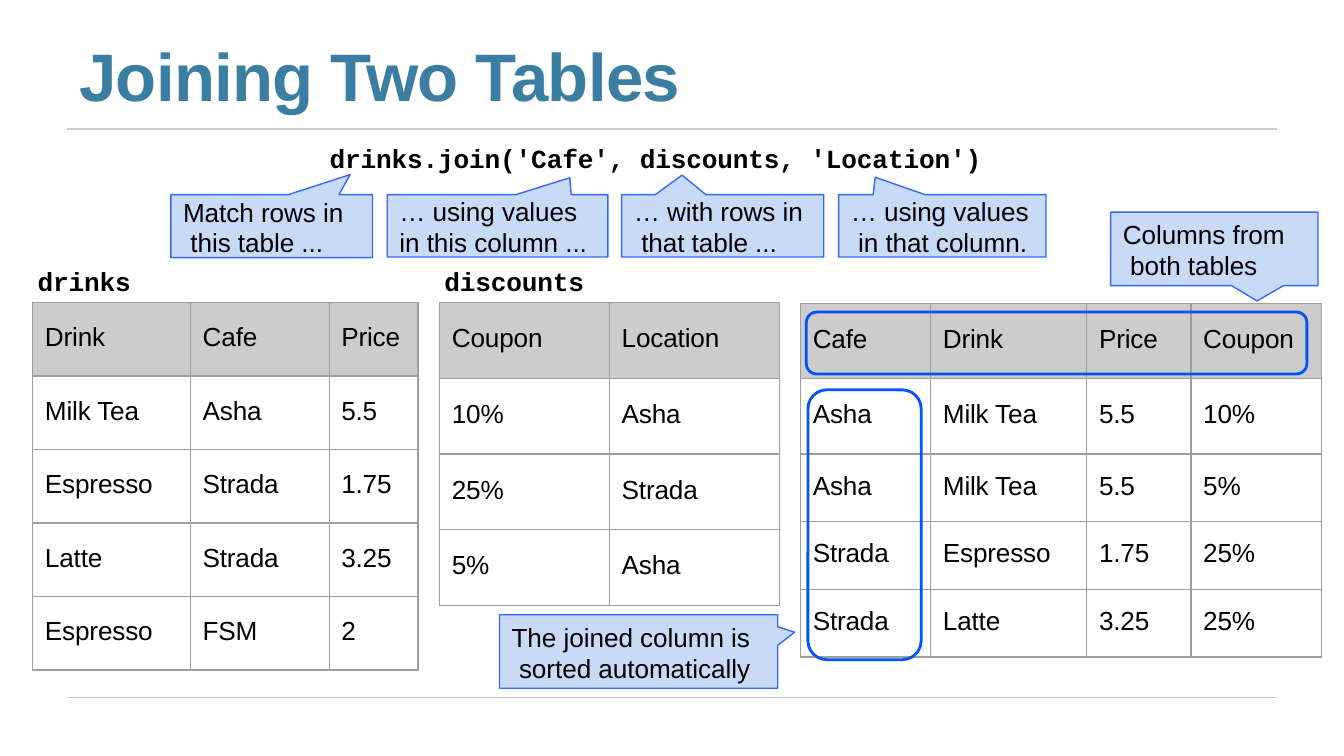
from dataclasses import dataclass

import lxml.etree
import pptx
import pptx.dml.color
import pptx.enum.shapes
import pptx.enum.text
import pptx.oxml.ns
import pptx.util

Cm = pptx.util.Cm
Pt = pptx.util.Pt
qn = pptx.oxml.ns.qn
Preset = pptx.enum.shapes.MSO_SHAPE
Anchor = pptx.enum.text.MSO_ANCHOR

COLOURS = {
    "title": "3B7EA1", "text": "000000", "rule": "CCCCCC", "header": "CCCCCC",
    "border": "9E9E9E", "callout": "C9DAF7", "callout_line": "3368FC", "ring": "0055FA",
}
NO_TABLE_STYLE = "{2D5ABB26-0587-4C30-8999-92F81FD0307C}"


# All lengths in the records are centimetres.
@dataclass
class Label:
    text: str
    left: float
    top: float
    width: float
    height: float
    font: str = "Courier New"
    size: int = 14
    colour: str = "text"
    spacing: int = -10


@dataclass
class DataTable:
    left: float
    top: float
    columns: list[float]
    heights: list[float]
    rows: list[list[str]]


@dataclass
class Callout:
    text: str
    left: float
    top: float
    width: float
    height: float
    tip: tuple[float, float]
    hang: float = 0.14


@dataclass
class Ring:
    left: float
    top: float
    width: float
    height: float


LABELS = [
    Label("Joining Two Tables", 1.5, 0.62, 12.5, 1.56, "Arial", 36, "title", -40),
    Label("drinks.join('Cafe', discounts, 'Location')", 6.23, 2.67, 13, 0.6),
    Label("drinks", 0.71, 4.98, 2.2, 0.6),
    Label("discounts", 8.4, 4.98, 3.2, 0.6),
]

TABLES = [
    DataTable(0.62, 5.72, [2.98, 2.62, 1.68], [1.39] * 5, [
        ["Drink", "Cafe", "Price"],
        ["Milk Tea", "Asha", "5.5"],
        ["Espresso", "Strada", "1.75"],
        ["Latte", "Strada", "3.25"],
        ["Espresso", "FSM", "2"],
    ]),
    DataTable(8.31, 5.72, [3.21] * 2, [1.43] * 4, [
        ["Coupon", "Location"],
        ["10%", "Asha"],
        ["25%", "Strada"],
        ["5%", "Asha"],
    ]),
    DataTable(15.13, 5.74, [2.46, 2.95, 1.97, 2.46], [1.42] * 2 + [1.28] * 3, [
        ["Cafe", "Drink", "Price", "Coupon"],
        ["Asha", "Milk Tea", "5.5", "10%"],
        ["Asha", "Milk Tea", "5.5", "5%"],
        ["Strada", "Espresso", "1.75", "25%"],
        ["Strada", "Latte", "3.25", "25%"],
    ]),
]

CALLOUTS = [
    Callout("Match rows in\vthis table ...", 3.23, 3.68, 3.81, 1.19, (6.62, 3.3)),
    Callout("… using values\vin this column ...", 7.32, 3.68, 4.17, 1.18, (10.77, 3.36), 0),
    Callout("… with rows in\vthat table ...", 11.75, 3.68, 3.82, 1.18, (12.89, 3.31)),
    Callout("… using values\vin that column.", 15.85, 3.68, 3.92, 1.18, (16.54, 3.35)),
    Callout("The joined column is\vsorted automatically", 9.44, 11.62, 5.26, 1.39, (15.02, 11.95)),
    Callout("Columns from\vboth tables", 20.99, 4.01, 3.92, 1.39, (23.76, 5.69)),
]

RINGS = [Ring(15.24, 5.9, 9.46, 1.17), Ring(15.27, 7.37, 2.14, 5.1)]


def rgb(name: str):
    return pptx.dml.color.RGBColor.from_string(COLOURS[name])


def style_runs(paragraph, font: str = "Arial", size: int = 14, colour: str = "text",
               bold: bool = False, spacing: int = -10) -> None:
    for run in paragraph.runs:
        run.font.name = font
        run.font.size = Pt(size)
        run.font.bold = bold
        run.font.color.rgb = rgb(colour)
        run.font._element.set("spc", str(spacing))


def set_insets(frame, left: float, top: float) -> None:
    frame.margin_left, frame.margin_top = Cm(left), Cm(top)
    frame.margin_right = frame.margin_bottom = 0


def draw_rule(slide, y: float) -> None:
    rule = slide.shapes.add_connector(
        pptx.enum.shapes.MSO_CONNECTOR.STRAIGHT, Cm(1.27), Cm(y), Cm(24.13), Cm(y))
    rule.line.color.rgb = rgb("rule")
    rule.line.width = Pt(0.75)
    lxml.etree.SubElement(rule._element.spPr, qn("a:effectLst"))


def draw_label(slide, label: Label) -> None:
    box = slide.shapes.add_textbox(
        Cm(label.left), Cm(label.top), Cm(label.width), Cm(label.height))
    frame = box.text_frame
    frame.word_wrap = True
    set_insets(frame, 0, 0.03)
    frame.text = label.text
    style_runs(frame.paragraphs[0], label.font, label.size, label.colour, True, label.spacing)


def add_borders(cell) -> None:
    properties = cell._tc.get_or_add_tcPr()
    for side in ("lnL", "lnR", "lnT", "lnB"):
        line = lxml.etree.SubElement(properties, qn(f"a:{side}"), w=str(Pt(0.75)))
        fill = lxml.etree.SubElement(line, qn("a:solidFill"))
        lxml.etree.SubElement(fill, qn("a:srgbClr"), val=COLOURS["border"])


def draw_table(slide, data: DataTable) -> None:
    table = slide.shapes.add_table(
        len(data.rows), len(data.columns), Cm(data.left), Cm(data.top),
        Cm(sum(data.columns)), Cm(sum(data.heights))).table
    table.first_row = table.horz_banding = False
    table._tbl.tblPr.find(qn("a:tableStyleId")).text = NO_TABLE_STYLE
    for column, width in zip(table.columns, data.columns):
        column.width = Cm(width)
    for i, (row, height) in enumerate(zip(table.rows, data.heights)):
        row.height = Cm(height)
        for cell, value in zip(row.cells, data.rows[i]):
            add_borders(cell)
            if i == 0:
                cell.fill.solid()
                cell.fill.fore_color.rgb = rgb("header")
            else:
                cell.fill.background()
            # The text line sits just above the middle of its row
            set_insets(cell, 0.23, height / 2 - 0.31)
            cell.text_frame.text = value
            style_runs(cell.text_frame.paragraphs[0])


def draw_callout(slide, callout: Callout) -> None:
    shape = slide.shapes.add_shape(
        Preset.RECTANGULAR_CALLOUT, Cm(callout.left), Cm(callout.top),
        Cm(callout.width), Cm(callout.height))
    # The tip is measured from the centre, as a share of the size
    shape.adjustments[0] = (callout.tip[0] - callout.left) / callout.width - 0.5
    shape.adjustments[1] = (callout.tip[1] - callout.top) / callout.height - 0.5
    shape.shadow.inherit = False
    shape.fill.solid()
    shape.fill.fore_color.rgb = rgb("callout")
    shape.line.color.rgb = rgb("callout_line")
    shape.line.width = Pt(0.75)
    frame = shape.text_frame
    frame.word_wrap = True
    frame.vertical_anchor = Anchor.MIDDLE
    set_insets(frame, 0.23, 0.05)
    frame.text = callout.text
    wording = frame.paragraphs[0]
    wording.alignment = pptx.enum.text.PP_ALIGN.LEFT
    wording.line_spacing = Pt(16.5)
    indent = wording._p.get_or_add_pPr()
    indent.set("marL", str(Cm(callout.hang)))
    indent.set("indent", str(-Cm(callout.hang)))
    style_runs(wording, spacing=-5)


def draw_ring(slide, ring: Ring) -> None:
    shape = slide.shapes.add_shape(
        Preset.ROUNDED_RECTANGLE, Cm(ring.left), Cm(ring.top), Cm(ring.width), Cm(ring.height))
    shape.shadow.inherit = False
    shape.fill.background()
    shape.line.color.rgb = rgb("ring")
    shape.line.width = Pt(1.5)


deck = pptx.Presentation()
deck.slide_width, deck.slide_height = Cm(25.4), Cm(14.29)
joining = deck.slides.add_slide(deck.slide_layouts[6])

# Rules above and below the content
for rule_y in (2.44, 13.18):
    draw_rule(joining, rule_y)

# Tables, then the headings, rings and explanations over them
for parts, draw in ((TABLES, draw_table), (LABELS, draw_label),
                    (RINGS, draw_ring), (CALLOUTS, draw_callout)):
    for part in parts:
        draw(joining, part)

deck.save("out.pptx")
